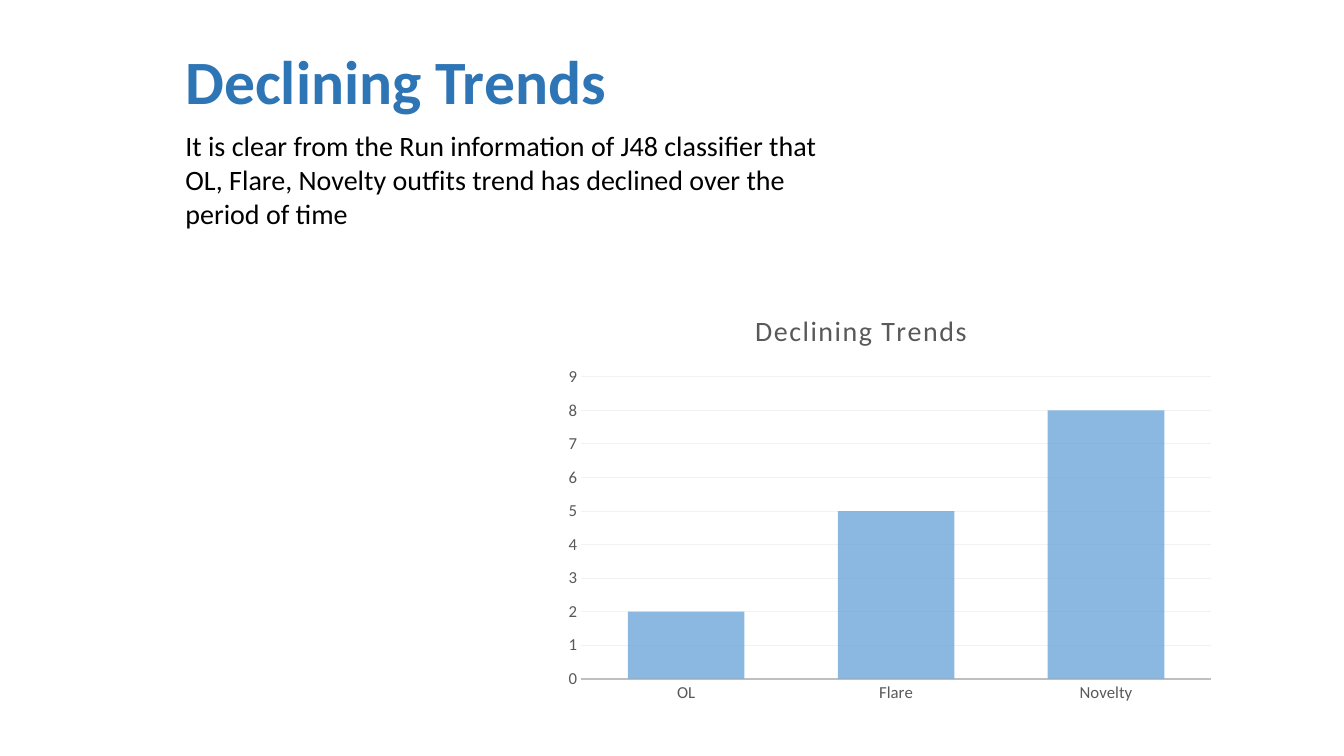
from lxml import etree
from pptx import Presentation
from pptx import util as u
from pptx.chart.data import CategoryChartData
from pptx.dml.color import RGBColor
from pptx.enum import chart as ch, text
from pptx.oxml.ns import qn

FONT = "Calibri"
COLORS = {"heading": "2E75B6", "body": "000000", "label": "595959",
          "bar": "5B9BD5", "axis": "BFBFBF", "grid": "F2F2F2"}
TEXTS = [
    {"words": "Declining Trends", "box": (1.74, 0.38, 4.58, 0.84), "wrap": False,
     "size": 44, "bold": True, "color": "heading"},
    {"words": "It is clear from the Run information of J48 classifier that OL, Flare, "
              "Novelty outfits trend has declined over the period of time",
     "box": (1.74, 1.23, 6.67, 1.11), "wrap": True,
     "size": 20, "bold": False, "color": "body"},
]
TRENDS = {"OL": 2, "Flare": 5, "Novelty": 8}
TREND_TITLE = "Declining Trends"
TREND_BOX = (5.07, 2.89, 6.95, 4.47)
PLOT_LAYOUT = {"layoutTarget": "inner", "xMode": "edge", "yMode": "edge",
               "x": 0.1, "y": 0.19, "w": 0.9, "h": 0.67}


def rgb(name):
    return RGBColor.from_string(COLORS[name])


def style(font, size, color, bold=False):
    for key, value in {"name": FONT, "size": u.Pt(size), "bold": bold}.items():
        setattr(font, key, value)
    font.color.rgb = rgb(color)


def add_text(slide, item):
    frame = slide.shapes.add_textbox(*map(u.Inches, item["box"])).text_frame
    frame.word_wrap = item["wrap"]
    frame.auto_size = text.MSO_AUTO_SIZE.SHAPE_TO_FIT_TEXT
    run = frame.paragraphs[0].add_run()
    run.text = item["words"]
    style(run.font, item["size"], item["color"], item["bold"])


def add_trends(slide):
    data = CategoryChartData()
    data.categories = list(TRENDS)
    data.add_series("Series 1", list(TRENDS.values()))
    trends = slide.shapes.add_chart(
        ch.XL_CHART_TYPE.COLUMN_CLUSTERED, *map(u.Inches, TREND_BOX), data).chart
    trends.has_legend = False
    style(trends.font, 10, "body")

    trends.has_title = True
    heading = trends.chart_title.text_frame.paragraphs[0].add_run()
    heading.text = TREND_TITLE
    style(heading.font, 20, "label")
    heading.font._element.set("spc", "100")
    trends.chart_title.include_in_layout = False

    for axis in (trends.category_axis, trends.value_axis):
        axis.major_tick_mark = axis.minor_tick_mark = ch.XL_TICK_MARK.NONE
        style(axis.tick_labels.font, 12, "label")
    baseline = trends.category_axis.format.line
    scale = trends.value_axis
    scale.format.line.fill.background()
    for key, value in {"minimum_scale": 0, "maximum_scale": 9, "major_unit": 1}.items():
        setattr(scale, key, value)
    for line, color, width in ((baseline, "axis", 1.25),
                               (scale.major_gridlines.format.line, "grid", 0.75)):
        line.color.rgb = rgb(color)
        line.width = u.Pt(width)

    plot = trends.plots[0]
    for key, value in {"gap_width": 80, "overlap": 25, "vary_by_categories": False}.items():
        setattr(plot, key, value)
    bars = plot.series[0].format.fill
    bars.solid()
    bars.fore_color.rgb = rgb("bar")
    bar_color = next(plot.series[0]._element.iter(qn("a:srgbClr")))
    etree.SubElement(bar_color, qn("a:alpha"), val="70000")

    area = trends._chartSpace.chart.plotArea
    for old in area.findall(qn("c:layout")):
        area.remove(old)
    layout = etree.Element(qn("c:layout"))
    manual = etree.SubElement(layout, qn("c:manualLayout"))
    for key, value in PLOT_LAYOUT.items():
        etree.SubElement(manual, qn(f"c:{key}"), val=str(value))
    area.insert(0, layout)


def main():
    deck = Presentation()
    deck.slide_width, deck.slide_height = u.Inches(13.33), u.Inches(7.5)
    slide = deck.slides.add_slide(deck.slide_layouts[6])
    for item in TEXTS:
        add_text(slide, item)
    add_trends(slide)
    deck.save("out.pptx")


if __name__ == "__main__":
    main()
